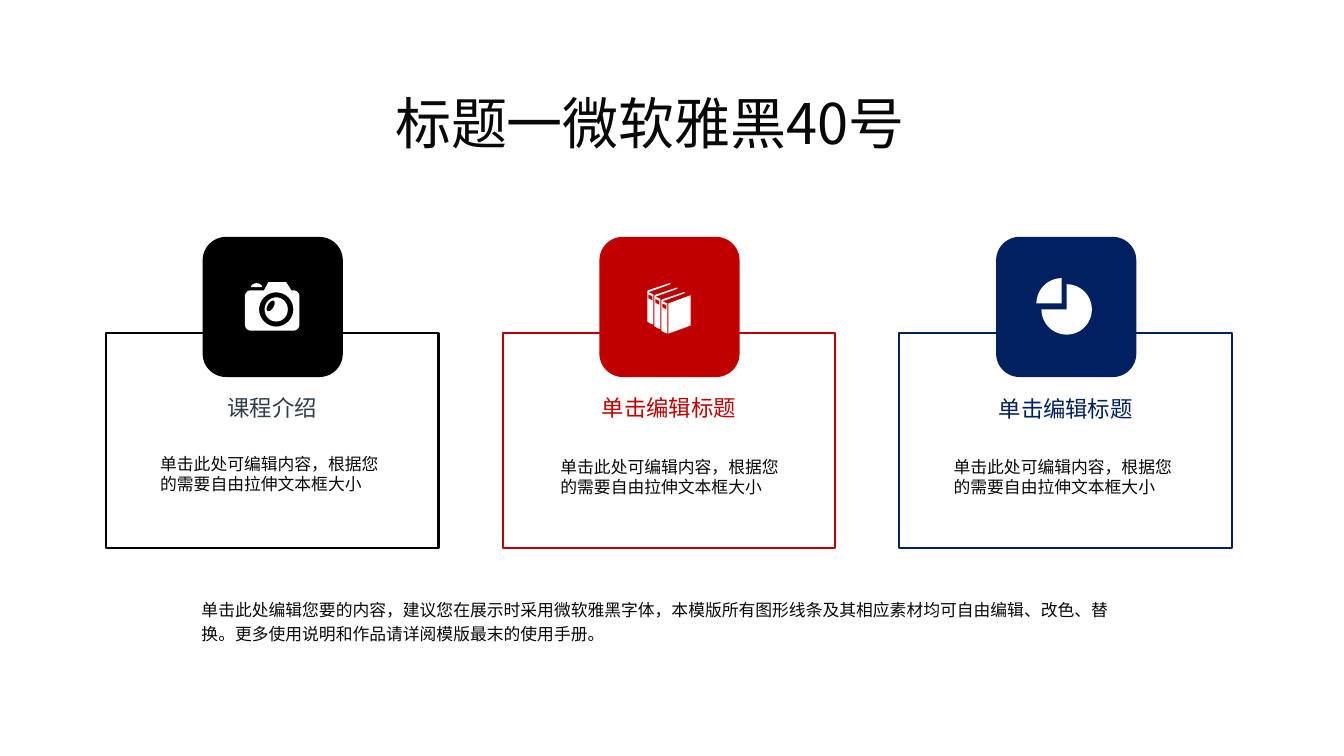
import math

import pptx
import pptx.dml.color
import pptx.enum.shapes
import pptx.enum.text
import pptx.oxml.ns
import pptx.util
from pptx.util import Inches

FONT = "Noto Sans CJK SC"
INK = "080808"
WHITE = "FFFFFF"
SHAPES = pptx.enum.shapes.MSO_SHAPE
ALIGN = pptx.enum.text.PP_ALIGN
BODY = "单击此处可编辑内容，根据您的需要自由拉伸文本框大小"
FOOTNOTE = (
    "单击此处编辑您要的内容，建议您在展示时采用微软雅黑字体，本模版所有图形线条及其相应素材均可自由编辑、改色、替换。"
    "更多使用说明和作品请详阅模版最末的使用手册。"
)
CARD_LEFT = 1.05
CARD_PITCH = 3.935


def color(value):
    return pptx.dml.color.RGBColor.from_string(value)


def paint(shape, fill=None, line=None):
    shape.shadow.inherit = False
    if fill:
        shape.fill.solid()
        shape.fill.fore_color.rgb = color(fill)
    else:
        shape.fill.background()
    if line:
        shape.line.color.rgb = color(line)
        shape.line.width = pptx.util.Pt(1.5)
    else:
        shape.line.fill.background()


def add_preset(slide, kind, left, top, width, height, fill=None, line=None):
    shape = slide.shapes.add_shape(
        kind, Inches(left), Inches(top), Inches(width), Inches(height)
    )
    paint(shape, fill, line)
    return shape


def add_text(slide, text, left, top, width, height, size, ink=INK,
             align=ALIGN.LEFT, before=0, spacing=1.0):
    box = slide.shapes.add_textbox(
        Inches(left), Inches(top), Inches(width), Inches(height)
    )
    box.text_frame.word_wrap = True
    box.text_frame.text = text
    paragraph = box.text_frame.paragraphs[0]
    paragraph.alignment = align
    paragraph.space_before = pptx.util.Pt(before)
    paragraph.line_spacing = spacing
    font = paragraph.runs[0].font
    font.size = pptx.util.Pt(size)
    font.name = FONT
    font.color.rgb = color(ink)
    east_asian = font._element.makeelement(
        pptx.oxml.ns.qn("a:ea"), {"typeface": FONT}
    )
    font._element.append(east_asian)


def add_outline(slide, contours):
    points = [[(Inches(x), Inches(y)) for x, y in contour] for contour in contours]
    builder = slide.shapes.build_freeform(*points[0][0])
    for index, contour in enumerate(points):
        if index:
            builder.move_to(*contour[0])
        builder.add_line_segments(contour[1:], close=True)
    paint(builder.convert_to_shape(), WHITE)


def arc(x, y, radius_x, radius_y, start=0, end=360, tilt=0):
    turn = math.radians(tilt)
    points = []
    for step in range(33):
        angle = math.radians(start + (end - start) * step / 32)
        across, down = radius_x * math.cos(angle), radius_y * math.sin(angle)
        points.append((
            x + across * math.cos(turn) - down * math.sin(turn),
            y + across * math.sin(turn) + down * math.cos(turn),
        ))
    return points


def add_camera(slide):
    corner = 0.06
    body = [(2.66, 2.8), (2.62, 2.88)]
    body += arc(2.49, 2.94, corner, corner, 270, 180)
    body += arc(2.49, 3.22, corner, corner, 180, 90)
    body += arc(2.91, 3.22, corner, corner, 90, 0)
    body += arc(2.91, 2.94, corner, corner, 0, -90)
    body += [(2.89, 2.88), (2.84, 2.8)]
    flash = arc(2.545, 2.85, 0.055, 0.04, 180, 360)
    lens_ring = arc(2.74, 3.07, 0.17, 0.17)
    lens = arc(2.74, 3.07, 0.115, 0.12)
    glint = arc(2.685, 3.035, 0.03, 0.06, tilt=32)
    add_outline(slide, [body, flash, lens_ring, lens, glint])


def add_books(slide):
    volume = [(6.42, 2.89), (6.43, 2.88), (6.64, 2.81), (6.65, 2.81), (6.65, 2.82),
              (6.43, 2.9), (6.48, 2.92), (6.48, 3.22), (6.45, 3.21), (6.42, 3.19)]
    label = [(6.43, 2.92), (6.47, 2.94), (6.47, 2.98), (6.43, 2.96)]
    contours = [
        [(x + 0.07 * book, y + 0.045 * book) for x, y in part]
        for book in range(3) for part in (volume, label)
    ]
    contours.append([(6.63, 3.01), (6.63, 3.31), (6.85, 3.23), (6.85, 2.93)])
    add_outline(slide, contours)


def add_pie_chart_icon(slide):
    pie = add_preset(slide, SHAPES.PIE, 10.33, 2.82, 0.5, 0.5, WHITE)
    pie.adjustments[0] = 162
    pie.adjustments[1] = 108
    add_outline(slide, [[(10.53, 3.01)] + arc(10.53, 3.01, 0.25, 0.25, 180, 270)])


def add_card(slide, column, heading, accent, ink, heading_top, body_left, body_top,
             add_icon):
    left = CARD_LEFT + column * CARD_PITCH
    add_preset(slide, SHAPES.RECTANGLE, left, 3.3, 3.3, 2.14, line=accent)
    add_preset(slide, SHAPES.ROUNDED_RECTANGLE, left + 0.96, 2.35, 1.39, 1.39, accent)
    add_text(slide, heading, left + 0.41, heading_top, 2.48, 0.36, 16, ink, ALIGN.CENTER)
    add_text(slide, BODY, body_left, body_top, 2.45, 0.5, 12, before=2.4)
    add_icon(slide)


def main():
    presentation = pptx.Presentation()
    presentation.slide_width = Inches(13.33)
    presentation.slide_height = Inches(7.5)
    slide = presentation.slides.add_slide(presentation.slide_layouts[6])
    cards = [
        ("课程介绍", "000000", "2F3C4A", 3.86, 1.49, 4.45, add_camera),
        ("单击编辑标题", "C00000", "C00000", 3.86, 5.46, 4.48, add_books),
        ("单击编辑标题", "002060", "002060", 3.87, 9.36, 4.48, add_pie_chart_icon),
    ]
    add_text(slide, FOOTNOTE, 1.9, 5.86, 9.22, 0.54, 12, before=2.4, spacing=1.2)
    for column, card in enumerate(cards):
        add_card(slide, column, *card)
    add_text(slide, "标题一微软雅黑40号", 3.82, 0.83, 5.62, 0.76, 40)
    presentation.save("out.pptx")


if __name__ == "__main__":
    main()
